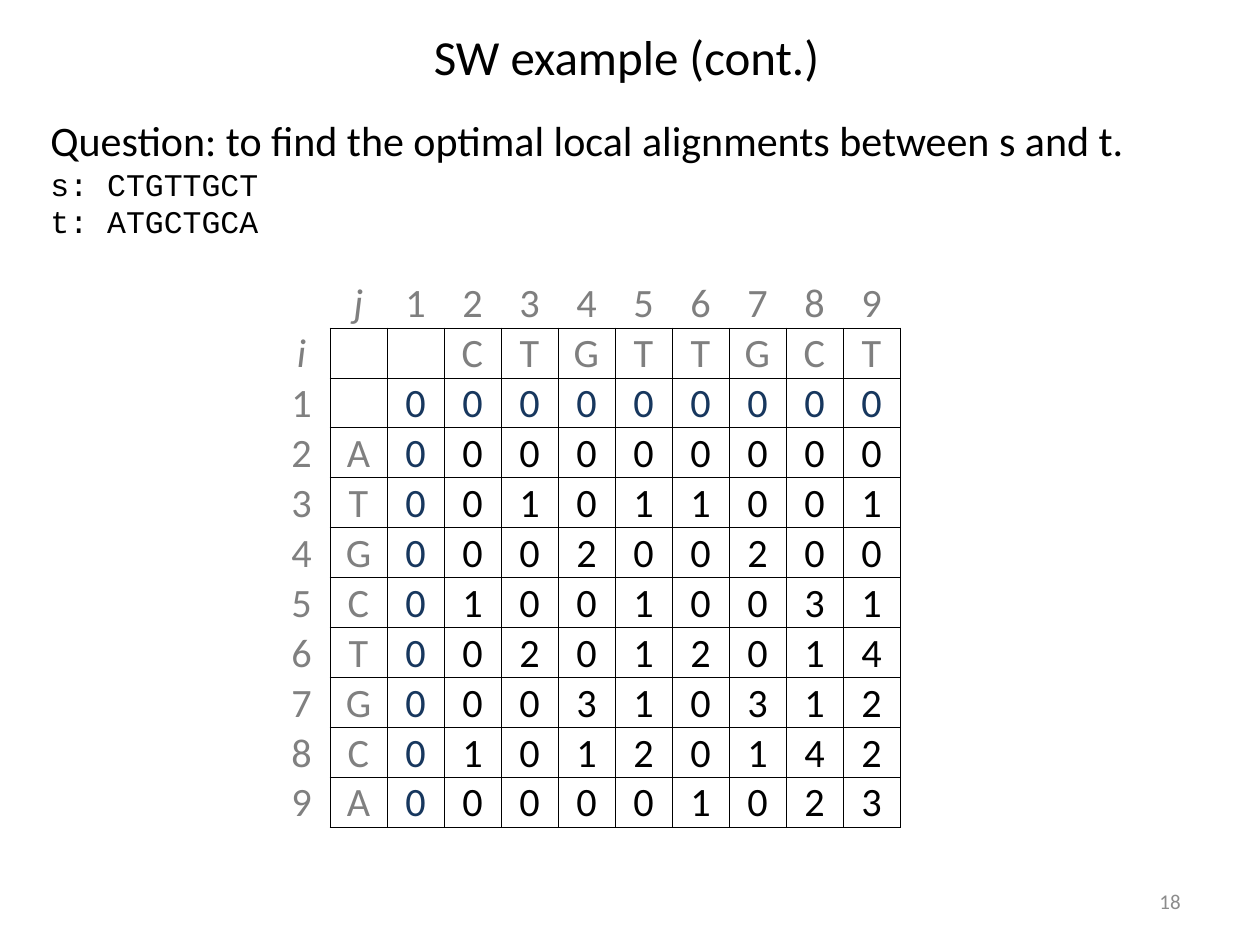
from lxml import etree
from pptx import Presentation
from pptx.dml.color import RGBColor
from pptx.enum.text import MSO_ANCHOR, PP_ALIGN
from pptx.oxml.ns import qn
from pptx.util import Emu, Pt

LEFT, MID, RIGHT = PP_ALIGN.LEFT, PP_ALIGN.CENTER, PP_ALIGN.RIGHT
TOP, CENTER = MSO_ANCHOR.TOP, MSO_ANCHOR.MIDDLE
TITLE_ONLY = 5
COLORS = {"ink": "000000", "head": "7F7F7F", "side": "808080",
          "base": "17375E", "page": "8C8C8C"}
EDGES = {"lnL": (0, -1), "lnR": (0, 1), "lnT": (-1, 0), "lnB": (1, 0)}
ROWS = [" j123456789", "i  CTGTTGCT", "1 000000000",
        "2A000000000", "3T001011001", "4G000200200", "5C010010031",
        "6T002012014", "7G000310312", "8C010120142", "9A000001023"]


def px(n):
    return Emu(round(n * 914400 / 126))


class Page:
    font = "Calibri"
    mono = "Courier New"

    def __init__(self, deck):
        self.slide = deck.slides.add_slide(deck.slide_layouts[TITLE_ONLY])

    def style(self, para, size, color="ink", align=LEFT, font=None, slant=False):
        para.alignment = align
        for run in para.runs:
            run.font.name = font or self.font
            run.font.size = Pt(size)
            run.font.italic = slant
            run.font.color.rgb = RGBColor.from_string(COLORS[color])

    def title(self, text, box):
        shape = self.slide.shapes.title
        shape.left, shape.top, shape.width, shape.height = map(px, box)
        shape.text_frame.text = text
        shape.text_frame.vertical_anchor = CENTER
        self.style(shape.text_frame.paragraphs[0], 28, align=MID)

    def text(self, lines, box, anchor=TOP):
        frame = self.slide.shapes.add_textbox(*map(px, box)).text_frame
        frame.word_wrap = True
        frame.vertical_anchor = anchor
        frame.text = "\n".join(text for text, _ in lines)
        for para, (_, look) in zip(frame.paragraphs, lines):
            self.style(para, **look)

    def edge(self, cell, row, col):
        props = cell._tc.get_or_add_tcPr()
        for tag, (down, right) in EDGES.items():
            framed = (row > 0 and col > 0) or (row + down > 0 and col + right > 0)
            line = etree.SubElement(props, qn(f"a:{tag}"), w=str(Pt(0.5)))
            fill = etree.SubElement(line, qn("a:solidFill" if framed else "a:noFill"))
            if framed:
                etree.SubElement(fill, qn("a:srgbClr"), val=COLORS["ink"])

    def cell(self, cell, text, row, col):
        if row < 2:
            color = "head"
        elif col < 2:
            color = "side"
        else:
            color = "base" if 2 in (row, col) else "ink"
        self.edge(cell, row, col)
        cell.fill.background()
        cell.vertical_anchor = CENTER
        cell.margin_left = cell.margin_right = cell.margin_top = px(1)
        cell.margin_bottom = 0
        cell.text_frame.text = text.strip()
        self.style(cell.text_frame.paragraphs[0], 23, color, MID, slant=text in "ij")

    def grid(self, rows, left, top, wide, high):
        count, span = len(rows), len(rows[0])
        table = self.slide.shapes.add_table(
            count, span, px(left), px(top), px(wide * span), px(high * count)).table
        table.first_row = table.horz_banding = False
        for r, line in enumerate(rows):
            for c, text in enumerate(line):
                self.cell(table.cell(r, c), text, r, c)


def main():
    deck = Presentation()
    deck.slide_width, deck.slide_height = px(1260), px(945)
    page = Page(deck)
    page.text([("18", {"size": 12, "color": "page", "align": RIGHT})],
              (900, 876, 293, 50), CENTER)
    page.title("SW example (cont.)", (91, 10, 1071, 92))
    page.grid(ROWS, 273, 278, 57, 50)
    code = {"size": 18, "font": page.mono}
    page.text([
        ("Question: to find the optimal local alignments between s and t.", {"size": 24}),
        ("s: CTGTTGCT", code),
        ("t: ATGCTGCA", code),
    ], (38, 108, 1115, 140))
    deck.save("out.pptx")


if __name__ == "__main__":
    main()
